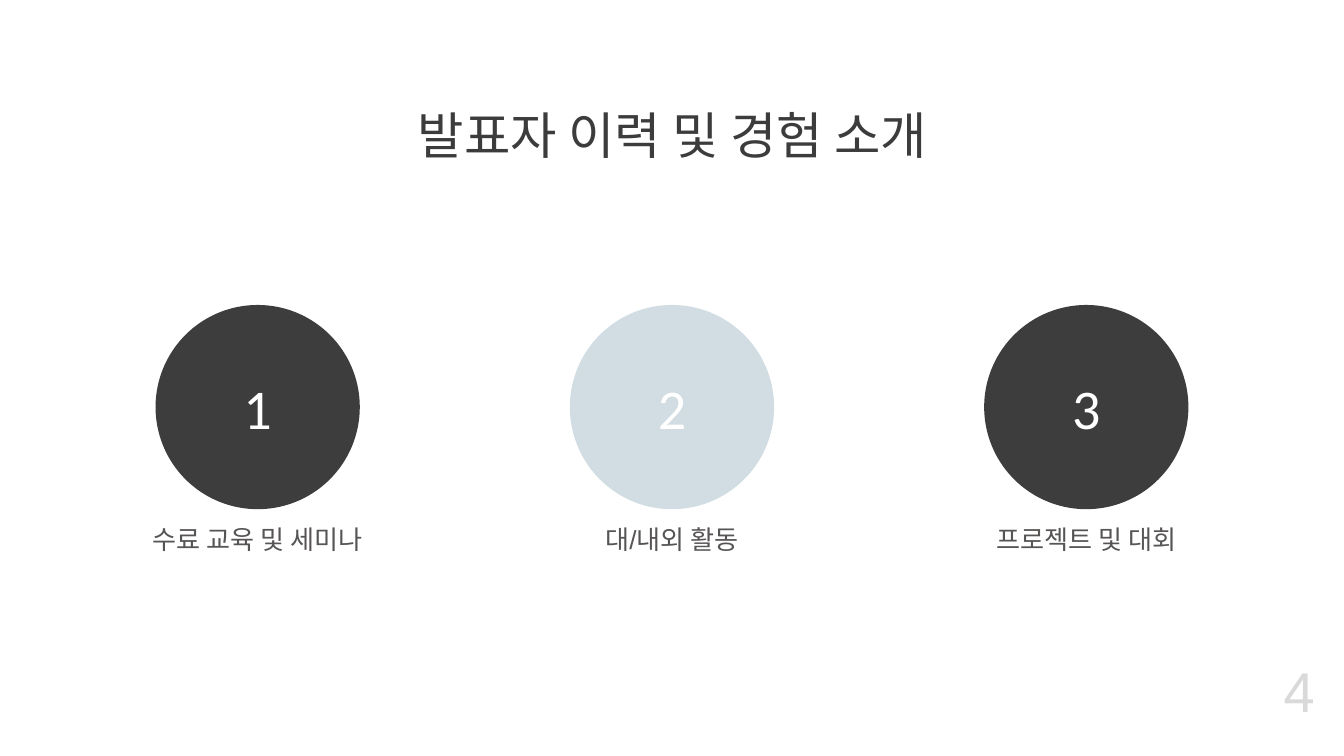
from pptx import Presentation
from pptx.dml.color import RGBColor
from pptx.enum.shapes import MSO_SHAPE
from pptx.enum.text import MSO_ANCHOR, MSO_AUTO_SIZE, PP_ALIGN
from pptx.util import Cm, Pt

TITLE_GREY = RGBColor(0x3C, 0x3C, 0x3C)
CAPTION_GREY = RGBColor(0x57, 0x54, 0x54)
DARK = RGBColor(0x3D, 0x3D, 0x3D)
PALE_BLUE = RGBColor(0xD1, 0xDD, 0xE2)
PAGE_GREY = RGBColor(0xD9, 0xD9, 0xD9)
WHITE = RGBColor(0xFF, 0xFF, 0xFF)

SLIDE_WIDTH, SLIDE_HEIGHT = 50.8, 28.58
TOPIC_PITCH = 15.66
CIRCLE_SIZE, CIRCLE_TOP = 7.72, 11.53
CAPTION_WIDTH, CAPTION_TOP, CAPTION_HEIGHT = 11.68, 19.48, 1.63

TOPICS = [
    ("수료 교육 및 세미나", DARK),
    ("대/내외 활동", PALE_BLUE),
    ("프로젝트 및 대회", DARK),
]


def write(shape, text, size, color, font="Arial",
          align=PP_ALIGN.CENTER, anchor=MSO_ANCHOR.MIDDLE):
    """Put one formatted line of text into a shape."""
    frame = shape.text_frame
    frame.word_wrap = True
    frame.auto_size = MSO_AUTO_SIZE.NONE
    frame.vertical_anchor = anchor
    frame.margin_left = frame.margin_right = 0
    paragraph = frame.paragraphs[0]
    paragraph.alignment = align
    run = paragraph.add_run()
    run.text = text
    run.font.name = font
    run.font.size = Pt(size)
    run.font.color.rgb = color
    return paragraph


def add_title(slide, text):
    title = slide.shapes.title
    title.left, title.top = Cm(8.41), Cm(3.48)
    title.width, title.height = Cm(34.01), Cm(2.9)
    line = write(title, text, 54, TITLE_GREY, anchor=MSO_ANCHOR.BOTTOM)
    line.line_spacing = 0.9


def add_circle(slide, center, number, color):
    circle = slide.shapes.add_shape(
        MSO_SHAPE.FLOWCHART_CONNECTOR, Cm(center - CIRCLE_SIZE / 2),
        Cm(CIRCLE_TOP), Cm(CIRCLE_SIZE), Cm(CIRCLE_SIZE))
    circle.shadow.inherit = False
    circle.fill.solid()
    circle.fill.fore_color.rgb = color
    circle.line.fill.background()
    write(circle, str(number), 60, WHITE, font="Calibri")


def add_caption(slide, center, text):
    caption = slide.shapes.add_textbox(
        Cm(center - CAPTION_WIDTH / 2), Cm(CAPTION_TOP),
        Cm(CAPTION_WIDTH), Cm(CAPTION_HEIGHT))
    write(caption, text, 28, CAPTION_GREY, anchor=MSO_ANCHOR.BOTTOM)


def add_page_number(slide, number):
    page = slide.shapes.add_textbox(Cm(46.7), Cm(24.6), Cm(3), Cm(3))
    write(page, str(number), 60, PAGE_GREY, align=PP_ALIGN.RIGHT)


def main():
    deck = Presentation()
    deck.slide_width, deck.slide_height = Cm(SLIDE_WIDTH), Cm(SLIDE_HEIGHT)
    slide = deck.slides.add_slide(deck.slide_layouts.get_by_name("Title Only"))

    add_title(slide, "발표자 이력 및 경험 소개")

    # Numbered topics, spread evenly around the middle of the slide
    for index, (topic, color) in enumerate(TOPICS):
        center = SLIDE_WIDTH / 2 + (index - 1) * TOPIC_PITCH
        add_circle(slide, center, index + 1, color)
        add_caption(slide, center, topic)

    add_page_number(slide, 4)
    deck.save("out.pptx")


if __name__ == "__main__":
    main()
